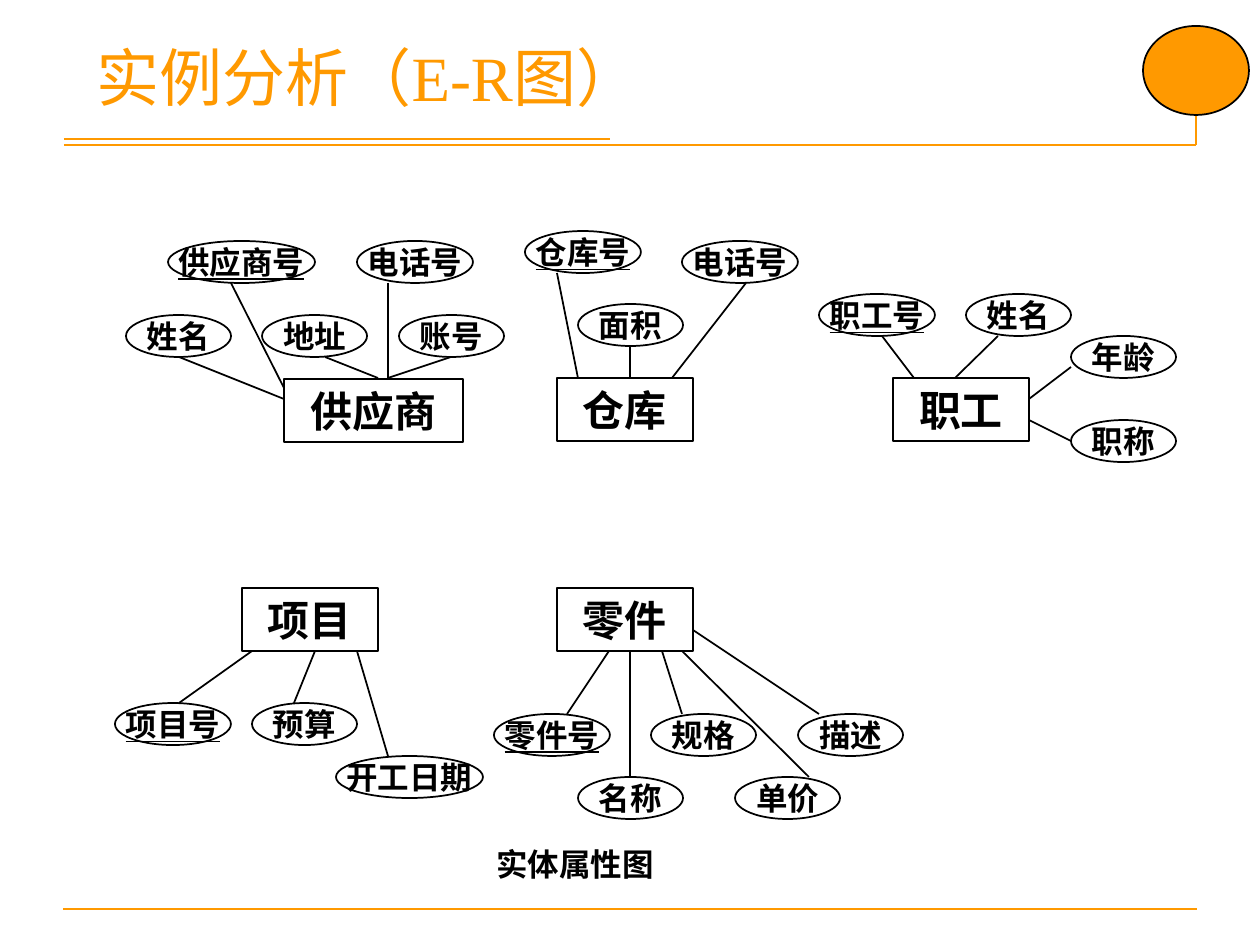
from dataclasses import dataclass

from lxml import etree
from pptx import Presentation
from pptx import util as u
from pptx.dml.color import RGBColor
from pptx.enum import shapes, text
from pptx.oxml.ns import qn

PX = 914400 / 126


@dataclass(frozen=True)
class Theme:
    accent: str = "FF9900"
    ink: str = "000000"
    serif: str = "Times New Roman"
    sans: str = "Arial"
    title_size: int = 36
    entity_size: int = 24
    label_size: int = 18
    thin: float = 1
    rule: float = 1.5


THEME = Theme()
ENTITY_HEIGHT = 63
ATTRIBUTE_HEIGHT = 42
ATTRIBUTE_WIDTHS = {2: 105, 3: 116, 4: 147}  # by number of characters

# Entity: name, left, top, width, attributes.
# Attribute: name, left, top, is key, line start at the oval, line end at the entity.
ENTITIES = [
    ("供应商", 284, 379, 179, [
        ("姓名", 126, 315, False, (179, 357), (284, 399)),
        ("地址", 262, 315, False, (325, 357), (378, 378)),
        ("账号", 399, 315, False, (451, 357), (388, 378)),
        ("供应商号", 168, 241, True, (231, 283), (284, 388)),
        ("电话号", 357, 241, False, (388, 283), (388, 378)),
    ]),
    ("仓库", 557, 378, 136, [
        ("面积", 578, 304, False, (630, 346), (630, 378)),
        ("仓库号", 525, 231, True, (557, 273), (578, 378)),
        ("电话号", 682, 241, False, (746, 283), (672, 378)),
    ]),
    ("职工", 893, 378, 136, [
        ("职工号", 819, 294, True, (882, 336), (914, 378)),
        ("姓名", 966, 294, False, (998, 336), (955, 378)),
        ("年龄", 1071, 336, False, (1071, 367), (1029, 399)),
        ("职称", 1071, 420, False, (1071, 441), (1029, 420)),
    ]),
    ("项目", 242, 588, 136, [
        ("项目号", 115, 703, True, (179, 703), (252, 651)),
        ("预算", 252, 703, False, (294, 703), (315, 651)),
        ("开工日期", 336, 756, False, (388, 756), (357, 651)),
    ]),
    ("零件", 557, 588, 136, [
        ("零件号", 494, 714, True, (567, 714), (609, 651)),
        ("规格", 651, 714, False, (682, 714), (662, 651)),
        ("名称", 578, 777, False, (630, 777), (630, 651)),
        ("描述", 798, 714, False, (819, 714), (693, 630)),
        ("单价", 735, 777, False, (809, 777), (682, 651)),
    ]),
]


def px(value):
    return u.Emu(round(value * PX))


def write(shape, content, *, size, font=THEME.serif, color=THEME.ink, bold=False,
          underline=False, align=text.PP_ALIGN.CENTER,
          anchor=text.MSO_ANCHOR.MIDDLE, wrap=False):
    frame = shape.text_frame
    frame.auto_size = text.MSO_AUTO_SIZE.NONE
    frame.word_wrap = wrap
    frame.vertical_anchor = anchor
    paragraph = frame.paragraphs[0]
    paragraph.alignment = align
    run = paragraph.add_run()
    run.text = content
    run.font.name = font
    run.font.size = u.Pt(size)
    run.font.bold = bold
    run.font.underline = underline
    run.font.color.rgb = RGBColor.from_string(color)


def add_outline(slide, kind, box, fill=None):
    shape = slide.shapes.add_shape(kind, *map(px, box))
    shape.shadow.inherit = False
    if fill:
        shape.fill.solid()
        shape.fill.fore_color.rgb = RGBColor.from_string(fill)
    else:
        shape.fill.background()
    shape.line.color.rgb = RGBColor.from_string(THEME.ink)
    shape.line.width = u.Pt(THEME.thin)
    return shape


def add_line(slide, start, end, color=THEME.ink, width=THEME.thin):
    line = slide.shapes.add_connector(
        shapes.MSO_CONNECTOR.STRAIGHT, *map(px, (*start, *end)))
    line.line.color.rgb = RGBColor.from_string(color)
    line.line.width = u.Pt(width)
    etree.SubElement(line._element.spPr, qn("a:effectLst"))


def add_frame(slide):
    """Draw the orange rules and the plain corner oval around the content."""
    for start, end in [((63, 909), (1197, 909)), ((64, 145), (1196, 145)),
                       ((1196, 35), (1196, 145)), ((64, 139), (610, 139))]:
        add_line(slide, start, end, THEME.accent, THEME.rule)
    add_outline(slide, shapes.MSO_SHAPE.OVAL, (1143, 26, 106, 89), THEME.accent)


def add_title(slide, content):
    title = slide.shapes.title
    title.left, title.top, title.width, title.height = map(px, (84, 32, 1071, 157))
    write(title, content, size=THEME.title_size, color=THEME.accent, wrap=True,
          align=text.PP_ALIGN.LEFT, anchor=text.MSO_ANCHOR.TOP)


def add_entity(slide, name, left, top, width, attributes):
    box = add_outline(slide, shapes.MSO_SHAPE.RECTANGLE,
                      (left, top, width, ENTITY_HEIGHT))
    write(box, name, size=THEME.entity_size, bold=True, wrap=True)
    for label, x, y, is_key, start, end in attributes:
        oval = add_outline(slide, shapes.MSO_SHAPE.OVAL,
                           (x, y, ATTRIBUTE_WIDTHS[len(label)], ATTRIBUTE_HEIGHT))
        write(oval, label, size=THEME.label_size, bold=True, underline=is_key)
        add_line(slide, start, end)


def add_caption(slide, content):
    caption = slide.shapes.add_textbox(*map(px, (484, 839, 183, 50)))
    write(caption, content, size=THEME.label_size, font=THEME.sans, bold=True,
          align=text.PP_ALIGN.LEFT, anchor=text.MSO_ANCHOR.TOP)


def main():
    presentation = Presentation()
    presentation.slide_width, presentation.slide_height = px(1260), px(945)
    slide = presentation.slides.add_slide(presentation.slide_layouts[5])
    add_frame(slide)
    add_title(slide, "实例分析（E-R图）")
    for entity in ENTITIES:
        add_entity(slide, *entity)
    add_caption(slide, "实体属性图")
    presentation.save("out.pptx")


if __name__ == "__main__":
    main()
